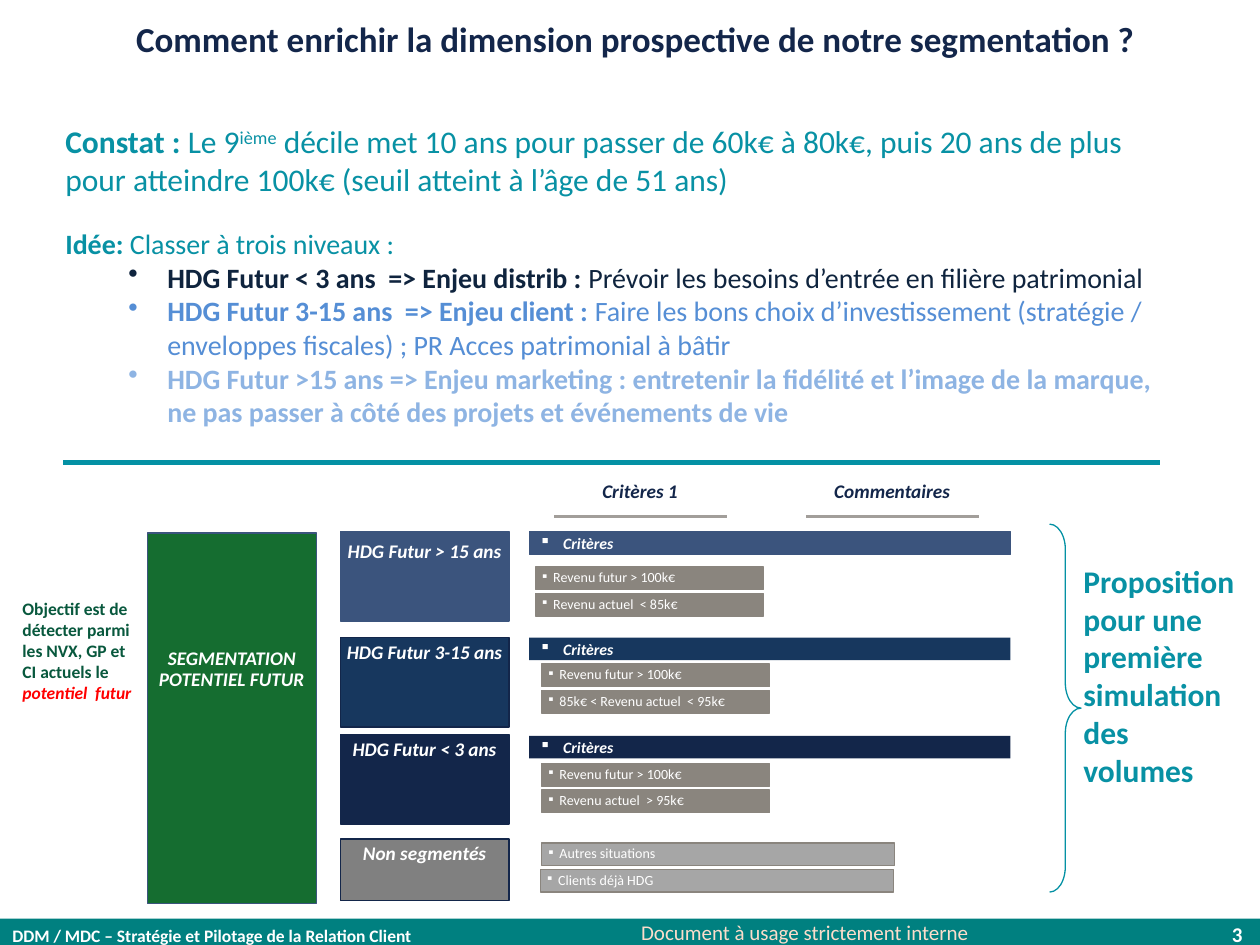
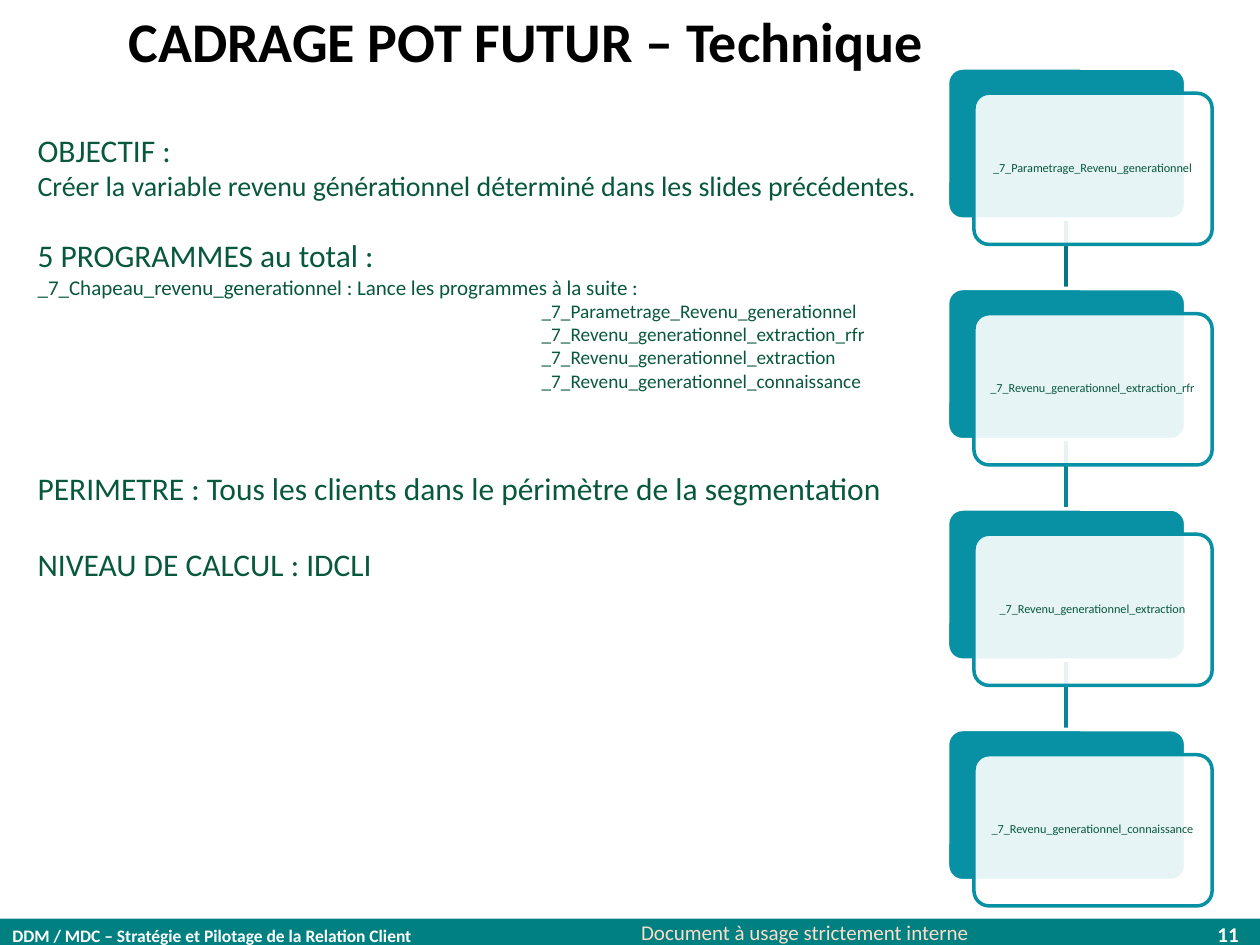
from dataclasses import dataclass

from lxml import etree
from pptx import Presentation
from pptx import util as u
from pptx.dml import color as col
from pptx.enum import shapes as sh, text as tx
from pptx.oxml import ns

PX = 9144  # EMU per px, 100 px to the inch
FONT = "Calibri"
NAVY, MID, SLATE = "13264A", "17375E", "3B547D"
TEAL, RULE, GREEN = "0891A4", "0491A4", "08583D"
WHITE, STONE, ASH = "FFFFFF", "8A857E", "A6A6A6"
LEFT, MIDDLE, RIGHT = tx.PP_ALIGN.LEFT, tx.PP_ALIGN.CENTER, tx.PP_ALIGN.RIGHT
TOP, CENTER, BASE = tx.MSO_ANCHOR.TOP, tx.MSO_ANCHOR.MIDDLE, tx.MSO_ANCHOR.BOTTOM
RECT = sh.MSO_SHAPE.RECTANGLE
ROUND = sh.MSO_SHAPE.ROUNDED_RECTANGLE


def rgb(code):
    return col.RGBColor.from_string(code)


def px(*nums):
    return [u.Emu(n * PX) for n in nums]


def sub(parent, tag, **attrs):
    node = etree.SubElement(parent, ns.qn(tag))
    for key, val in attrs.items():
        node.set(key, str(val))
    return node


@dataclass
class Look:
    """How a run of text is set."""
    size: float
    hue: str
    bold: bool = False
    ital: bool = False
    lift: int = 0


@dataclass
class Para:
    """Runs of (text, look) with the spacing and bullet around them."""
    runs: list
    align: object = LEFT
    lead: float = 1.0
    before: float = 0
    left: int = 0
    hang: int = 0
    mark: str = ""
    ratio: int = 100


class Deck:
    def __init__(self):
        self.prs = Presentation()
        self.prs.slide_width, self.prs.slide_height = px(1000, 750)
        self.slide = None

    def page(self, title, box, look, number, num_x, **frame):
        self.slide = self.prs.slides.add_slide(self.prs.slide_layouts[5])
        # Footer band
        self.shape(RECT, (-1, 729, 1001, 24), "008080")
        self.text((0, 729, 571, 27), [Para([(
            "DDM / MDC – Stratégie et Pilotage de la Relation Client",
            Look(10, WHITE, True))])])
        self.text((499, 725, 326, 30), [Para([(
            "Document à usage strictement interne", Look(12, "FCDDCB"))])])
        self.text((num_x, 729, 110, 24), [Para(
            [(number, Look(12, WHITE, True))], RIGHT)], anchor=CENTER)
        # Title
        head = self.slide.shapes.title
        head.left, head.top, head.width, head.height = px(*box)
        lead = frame.pop("lead", 1.0)
        self.typeset(head, [Para([(title, look)], lead=lead)], **frame)

    def typeset(self, shape, paras, anchor=TOP, ins=(10, 5, 10, 5)):
        frame = shape.text_frame
        frame.word_wrap = True
        frame.auto_size = tx.MSO_AUTO_SIZE.NONE
        frame.vertical_anchor = anchor
        (frame.margin_left, frame.margin_top,
         frame.margin_right, frame.margin_bottom) = px(*ins)
        for i, para in enumerate(paras):
            p = frame.add_paragraph() if i else frame.paragraphs[0]
            p.alignment = para.align
            p.line_spacing = para.lead
            p.space_before = u.Pt(para.before)
            for words, look in para.runs:
                self.run(p, words, look)
            self.dent(p, para)

    def run(self, p, words, look):
        run = p.add_run()
        run.text = words
        font = run.font
        font.name, font.size = FONT, u.Pt(look.size)
        font.bold, font.italic = look.bold, look.ital
        font.color.rgb = rgb(look.hue)
        if look.lift:
            run._r.get_or_add_rPr().set("baseline", str(look.lift * 1000))

    def dent(self, p, para):
        props = p._p.get_or_add_pPr()
        props.set("marL", str(para.left * PX))
        props.set("indent", str(-para.hang * PX))
        if para.mark:
            sub(props, "a:buSzPct", val=para.ratio * 1000)
            sub(props, "a:buChar", char=para.mark)

    def text(self, box, paras, **frame):
        self.typeset(self.slide.shapes.add_textbox(*px(*box)), paras, **frame)

    def shape(self, kind, box, fill=None, edge=None, wide=0.75, adj=(),
              alpha=100, paras=(), **frame):
        form = self.slide.shapes.add_shape(kind, *px(*box))
        form.shadow.inherit = False
        for i, val in enumerate(adj):
            form.adjustments[i] = val
        if fill:
            form.fill.solid()
            form.fill.fore_color.rgb = rgb(fill)
            if alpha < 100:
                tone = form._element.spPr.find(".//" + ns.qn("a:srgbClr"))
                sub(tone, "a:alpha", val=alpha * 1000)
        else:
            form.fill.background()
        if edge:
            form.line.color.rgb = rgb(edge)
            form.line.width = u.Pt(wide)
        else:
            form.line.fill.background()
        if paras:
            self.typeset(form, paras, **frame)

    def line(self, x1, y1, x2, y2, hue, wide):
        link = self.slide.shapes.add_connector(
            sh.MSO_CONNECTOR.STRAIGHT, *px(x1, y1, x2, y2))
        link.line.color.rgb = rgb(hue)
        link.line.width = u.Pt(wide)
        sub(link._element.spPr, "a:effectLst")

    # Elements of the segmentation tree
    def group(self, box, words, fill, edge, top):
        look = Look(11, WHITE, True, True)
        self.shape(RECT, box, fill, edge, ins=(0, top, 0, 0),
                   paras=[Para([(words, look)], MIDDLE, 0.9)])

    def bar(self, y, fill, edge):
        look = Look(9, WHITE, True, True)
        self.shape(RECT, (420, y, 382, 18), fill, edge, anchor=CENTER,
                   ins=(8, 8, 8, 8), paras=[Para(
                       [("Critères", look)], before=6,
                       left=19, hang=19, mark="▪")])

    def rule(self, x, y, wide, words, fill=STONE):
        self.shape(RECT, (x, y, wide, 18), fill, STONE, anchor=CENTER,
                   ins=(4, 8, 4, 8), paras=[Para(
                       [(words, Look(8, WHITE))], lead=0.9,
                       left=10, hang=10, mark="▪", ratio=80)])


def segments(deck):
    deck.page("Comment enrichir la dimension prospective de notre segmentation ?",
              (108, -25, 892, 75), Look(20, NAVY, True), "3", 886,
              lead=0.9, anchor=BASE, ins=(0, 5, 2, 2))

    # Finding and idea
    big, bold = Look(18, TEAL), Look(18, TEAL, True)
    deck.text((42, 92, 892, 71), [Para([
        ("Constat : ", bold), ("Le 9", big), ("ième", Look(18, TEAL, lift=30)),
        (" décile met 10 ans pour passer de 60k€ à 80k€, puis 20 ans de plus "
         "pour atteindre 100k€ (seuil atteint à l’âge de 51 ans)", big)])])
    levels = [
        ("0F243E", "HDG Futur < 3 ans  => Enjeu distrib : ",
         "Prévoir les besoins d’entrée en filière patrimonial", False),
        ("558ED5", "HDG Futur 3-15 ans  => Enjeu client : ",
         "Faire les bons choix d’investissement (stratégie / enveloppes "
         "fiscales) ; PR Acces patrimonial à bâtir", False),
        ("8EB4E3", "HDG Futur >15 ans => Enjeu marketing : ",
         "entretenir la fidélité et l’image de la marque, ne pas passer à "
         "côté des projets et événements de vie", True)]
    idea = [Para([("Idée: ", Look(16, TEAL, True)),
                  ("Classer à trois niveaux :", Look(16, TEAL))])]
    idea += [Para([(stake, Look(16, hue, True)), (aim, Look(16, hue, strong))],
                  left=81, hang=31, mark="•")
             for hue, stake, aim, strong in levels]
    deck.text((42, 175, 892, 172), idea)
    deck.line(50, 367, 921, 367, RULE, 3)

    # Column heads
    for x, words in ((440, "Critères 1"), (640, "Commentaires")):
        deck.text((x + 7, 375, 122, 32), [Para(
            [(words, Look(11, NAVY, True, True))], MIDDLE, 0.85, 6)],
            anchor=CENTER, ins=(8, 8, 8, 8))
        deck.line(x, 410, x + 137, 410, "A29E9A", 1.5)

    # Goal and root of the tree
    deck.text((8, 470, 108, 94), [Para([
        ("Objectif est de détecter parmi les NVX, GP et CI actuels le ",
         Look(10, GREEN, True)),
        ("potentiel  futur", Look(10, "FF0000", True, True))])])
    deck.group((117, 423, 134, 294), "SEGMENTATION POTENTIEL FUTUR",
               "156D30", SLATE, 92)

    # Three segments, each with its criteria
    high = "Revenu futur > 100k€"
    tree = [
        ("HDG Futur > 15 ans", SLATE, SLATE, SLATE, 8, 422, 422, 425, 450,
         "Revenu actuel  < 85k€"),
        ("HDG Futur 3-15 ans", MID, NAVY, None, 4, 506, 506, 430, 527,
         "85k€ < Revenu actuel  < 95k€"),
        ("HDG Futur < 3 ans", NAVY, NAVY, None, 4, 583, 584, 430, 606,
         "Revenu actuel  > 95k€")]
    for name, fill, edge, rim, pad, y, bar_y, x, rule_y, now in tree:
        deck.group((270, y, 134, 71), name, fill, edge, pad)
        deck.bar(bar_y, fill, rim)
        for i, words in enumerate((high, now)):
            deck.rule(x, rule_y + 21 * i, 181, words)

    # Clients left out
    deck.group((270, 666, 134, 49), "Non segmentés", "808080", NAVY, 4)
    deck.rule(430, 669, 280, "Autres situations", ASH)
    deck.rule(429, 690, 280, "Clients déjà HDG", ASH)

    # Outcome
    deck.shape(sh.MSO_SHAPE.RIGHT_BRACE, (833, 416, 25, 292), edge=RULE,
               adj=(0.8, 0.5))
    deck.text((850, 441, 142, 192), [Para([(
        "Proposition pour une première simulation des volumes", bold)])])


def technique(deck):
    deck.page("CADRAGE POT FUTUR – Technique", (92, 0, 888, 64),
              Look(32, "000000", True), "11", 883)
    steps = ["_7_Parametrage_Revenu_generationnel",
             "_7_Revenu_generationnel_extraction_rfr",
             "_7_Revenu_generationnel_extraction",
             "_7_Revenu_generationnel_connaissance"]

    # Brief: words, size, space before, left indent
    brief = [
        ("OBJECTIF :", 18, 0, 0),
        ("Créer la variable revenu générationnel déterminé dans les slides "
         "précédentes.", 16, 0, 0),
        ("5 PROGRAMMES au total :", 18, 19.5, 0),
        ("_7_Chapeau_revenu_generationnel : Lance les programmes à la suite :",
         12, 0, 0),
        *[(step, 11, 0, 400) for step in steps],
        ("PERIMETRE : Tous les clients dans le périmètre de la segmentation",
         18, 44, 0),
        ("NIVEAU DE CALCUL : IDCLI", 18, 22, 0)]
    deck.text((20, 99, 952, 370), [
        Para([(words, Look(size, GREEN))], before=gap, left=left)
        for words, size, gap, left in brief])

    # Chain of programs, links behind the cards
    tops = [54 + 175 * i for i in range(len(steps))]
    for y, hue in zip(tops[1:], ("067483", "078495", "078495")):
        deck.line(846, y - 55, 846, y, hue, 2)
    for y, step in zip(tops, steps):
        deck.shape(ROUND, (752, y, 189, 120), TEAL, WHITE, 2, (0.1,))
        deck.shape(ROUND, (773, y + 20, 189, 120), WHITE, TEAL, 2, (0.1,), 90)
        deck.text((776, y + 23, 182, 113), [Para(
            [(step, Look(7, GREEN))], MIDDLE, 0.9)],
            anchor=CENTER, ins=(3, 3, 3, 3))


def main():
    deck = Deck()
    segments(deck)
    technique(deck)
    deck.prs.save("out.pptx")


if __name__ == "__main__":
    main()
